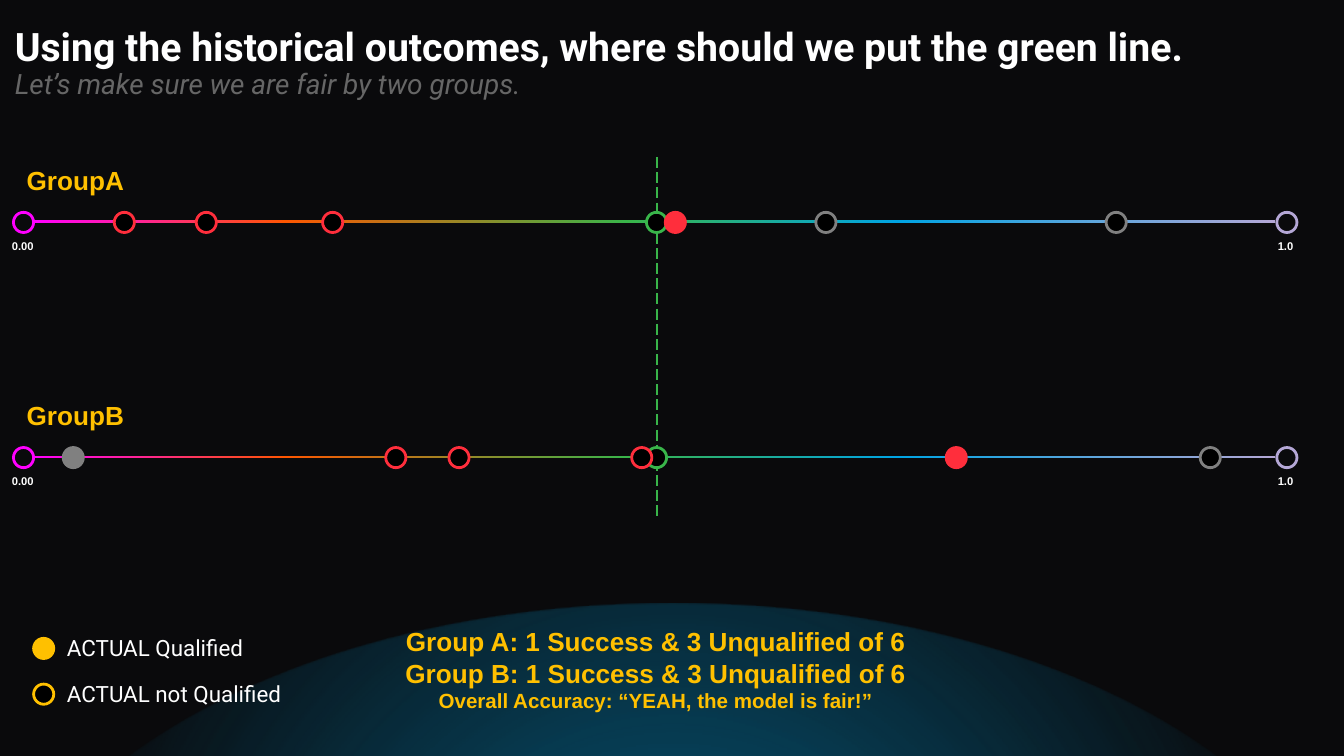
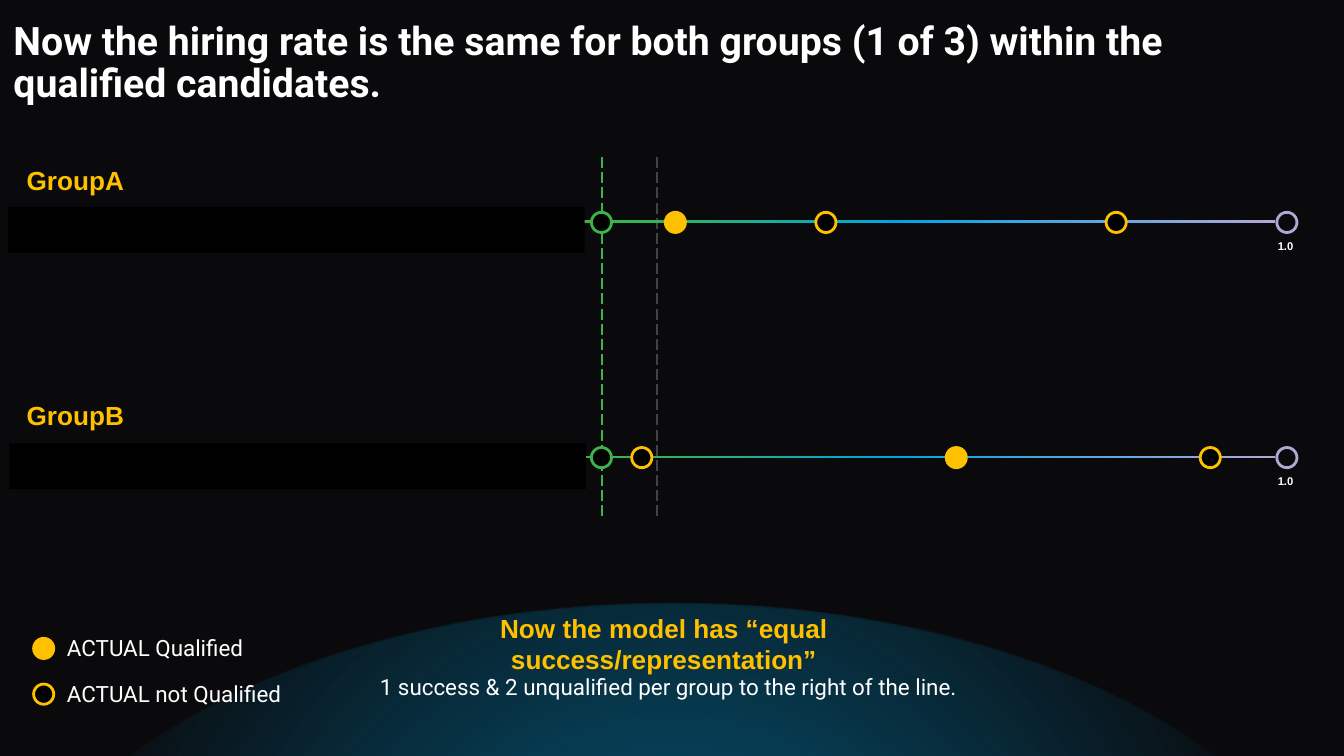
from dataclasses import dataclass

from pptx import Presentation
from pptx import oxml
from pptx.dml.color import RGBColor
from pptx.enum import dml, shapes, text
from pptx.oxml import ns
from pptx.util import Inches, Pt


@dataclass(frozen=True)
class Theme:
    back: str = "0A0A0C"
    black: str = "000000"
    gold: str = "FFC000"
    red: str = "FF2E3C"
    gray: str = "808080"
    dim: str = "434343"
    pink: str = "FF00FF"
    orange: str = "FF5600"
    green: str = "39B54A"
    blue: str = "00A4E4"
    lilac: str = "B4A7D6"
    head: tuple = ("Roboto", 21, "FFFFFF", True)
    sub: tuple = ("Roboto", 15, "666666", False)
    body: tuple = ("Roboto", 12, "FFFFFF", False)
    label: tuple = ("Arial", 14, "FFC000", True)
    small: tuple = ("Arial", 11, "FFC000", True)
    tick: tuple = ("Arial", 6, "FFFFFF", True)


T = Theme()
LEFT, MID = text.PP_ALIGN.LEFT, text.PP_ALIGN.CENTER
RECT, OVAL = shapes.MSO_SHAPE.RECTANGLE, shapes.MSO_SHAPE.OVAL
DOT = 0.15
STEP = 1.75
BARS = [
    (0.25, 1.89, T.pink, T.orange),
    (2.1, 2.57, T.orange, T.green),
    (4.67, 2.01, T.green, T.blue),
    (6.68, 2.81, T.blue, T.lilac),
]
GLOW = (
    f'<a:gradFill {ns.nsdecls("a")} rotWithShape="1"><a:gsLst>'
    + "".join(
        f'<a:gs pos="{pos}000"><a:srgbClr val="{T.blue}">'
        f'<a:alpha val="{alpha}000"/></a:srgbClr></a:gs>'
        for pos, alpha in [(0, 44), (16, 44), (80, 0), (100, 0)]
    )
    + '</a:gsLst><a:path path="circle">'
    '<a:fillToRect l="50000" t="50000" r="50000" b="50000"/>'
    "</a:path></a:gradFill>"
)


def write(slide, box, rows, align=LEFT, inset=(0.1, 0.1), middle=False):
    frame = slide.shapes.add_textbox(*map(Inches, box)).text_frame
    frame.word_wrap = True
    frame.margin_left = frame.margin_right = Inches(inset[0])
    frame.margin_top = frame.margin_bottom = Inches(inset[1])
    if middle:
        frame.vertical_anchor = text.MSO_ANCHOR.MIDDLE
    for i, (words, style) in enumerate(rows):
        para = frame.add_paragraph() if i else frame.paragraphs[0]
        para.text = words
        para.alignment = align
        font = para.font
        font.name, size, color, font.bold = style
        font.size = Pt(size)
        font.color.rgb = RGBColor.from_string(color)
    return frame.paragraphs[0]


def draw(host, kind, box, fill=None, line=None):
    shape = host.shapes.add_shape(kind, *map(Inches, box))
    shape.shadow.inherit = False
    if fill:
        shape.fill.solid()
        shape.fill.fore_color.rgb = RGBColor.from_string(fill)
    else:
        shape.fill.background()
    if line:
        shape.line.color.rgb = RGBColor.from_string(line)
        shape.line.width = Pt(1.5)
    else:
        shape.line.fill.background()
    return shape


pages = [
    dict(
        title=(0.04, 0.15, 9.37, 0.65),
        head="Using the historical outcomes, where should we put the green line.",
        sub="Let’s make sure we are fair by two groups.",
        cuts=[(4.89, T.green)],
        bars=BARS,
        ends=[(0.1, -0.11, 0.56, "0.00", T.pink), (9.5, 9.26, 0.61, "1.0", T.lilac)],
        dots=[
            [(4.81, T.black, T.green), (0.85, T.black, T.red),
             (1.46, T.black, T.red), (2.4, T.black, T.red),
             (4.95, T.red, T.red), (8.23, T.black, T.gray),
             (6.07, T.black, T.gray)],
            [(4.81, T.black, T.green), (3.34, T.black, T.red),
             (2.87, T.black, T.red), (0.47, T.gray, T.gray),
             (8.93, T.black, T.gray), (7.04, T.red, T.red),
             (4.7, T.black, T.red)],
        ],
        masks=[],
        notes=[
            ((2.66, 4.83, 4.44, 0.3), True, [
                ("Group A: 1 Success & 3 Unqualified of 6", T.label),
                ("Group B: 1 Success & 3 Unqualified of 6", T.label),
                ("Overall Accuracy: “YEAH, the model is fair!”", T.small),
            ]),
        ],
    ),
    dict(
        title=(0.03, 0.15, 9.85, 0.65),
        head="Now the hiring rate is the same for both groups (1 of 3) "
        "within the qualified candidates.",
        sub="",
        cuts=[(4.89, T.dim), (4.48, T.green)],
        bars=BARS[1:],
        ends=[(9.5, 9.26, 0.61, "1.0", T.lilac)],
        dots=[
            [(4.95, T.gold, T.gold), (8.23, T.black, T.gold),
             (6.07, T.black, T.gold), (4.4, T.black, T.green)],
            [(8.93, T.black, T.gold), (7.04, T.gold, T.gold),
             (4.7, T.black, T.gold), (4.4, T.black, T.green)],
        ],
        masks=[(0.06, 1.54), (0.07, 3.3)],
        notes=[
            ((2.72, 4.64, 4.44, 0.3), True,
             [("Now the model has “equal success/representation”", T.label)]),
            ((2.69, 4.91, 4.57, 0.56), False,
             [("1 success & 2 unqualified per group to the right of the line.",
               T.body)]),
        ],
    ),
]

deck = Presentation()
deck.slide_width = Inches(10)
deck.slide_height = Inches(10) * 9 // 16

for page in pages:
    slide = deck.slides.add_slide(deck.slide_layouts[6])
    slide.background.fill.solid()
    slide.background.fill.fore_color.rgb = RGBColor.from_string(T.back)

    para = write(slide, page["title"], [(page["head"], T.head)],
                 inset=(0.07, 0.04), middle=True)
    para.line_spacing = 0.9
    if page["sub"]:
        para.add_line_break()
        run = para.add_run()
        run.text = page["sub"]
        run.font.name, size, color, run.font.bold = T.sub
        run.font.size = Pt(size)
        run.font.color.rgb = RGBColor.from_string(color)
        run.font.italic = True

    for x, color in page["cuts"]:
        cut = slide.shapes.add_connector(
            shapes.MSO_CONNECTOR.STRAIGHT, *map(Inches, (x, 1.17, x, 3.86)))
        cut.line.color.rgb = RGBColor.from_string(color)
        cut.line.width = Pt(0.75)
        cut.line.dash_style = dml.MSO_LINE.LONG_DASH
        cut._element.spPr.append(
            oxml.parse_xml(f'<a:effectLst {ns.nsdecls("a")}/>'))

    for i, name in enumerate(["GroupA", "GroupB"]):
        top = 1.58 + i * STEP
        scale = slide.shapes.add_group_shape()
        for x, width, start, end in page["bars"]:
            bar = draw(scale, RECT, (x, top + 0.06, width, 0.02))
            bar.fill.gradient()
            bar.fill.gradient_angle = 0
            for stop, pos, color in zip(bar.fill.gradient_stops, (0, 1), (start, end)):
                stop.position = pos
                stop.color.rgb = RGBColor.from_string(color)
        for x, left, width, mark, color in page["ends"]:
            draw(slide, OVAL, (x, top, DOT, DOT), T.back, color)
            write(slide, (left, top + 0.15, width, 0.43), [(mark, T.tick)],
                  MID, (0.05, 0.05))
        write(slide, (0.1, top - 0.39, 1.73, 0.3), [(name, T.label)], middle=True)
        for x, fill, line in page["dots"][i]:
            draw(slide, OVAL, (x, top, DOT, DOT), fill, line)

    glow = draw(slide, OVAL, (-0.14, 4.49, 10.29, 5.97))
    props = glow._element.spPr
    props.replace(props.find(ns.qn("a:noFill")), oxml.parse_xml(GLOW))

    for box, middle, rows in page["notes"]:
        write(slide, box, rows, MID, middle=middle)

    for i, (words, fill) in enumerate(
            [("ACTUAL Qualified", T.gold), ("ACTUAL not Qualified", T.black)]):
        draw(slide, OVAL, (0.25, 4.75 + i * 0.34, DOT, DOT), fill, T.gold)
        write(slide, (0.4, 4.62 + i * 0.34, 2.3, 0.28), [(words, T.body)])

    for x, y in page["masks"]:
        draw(slide, RECT, (x, y, 4.29, 0.34), T.black)

deck.save("out.pptx")
